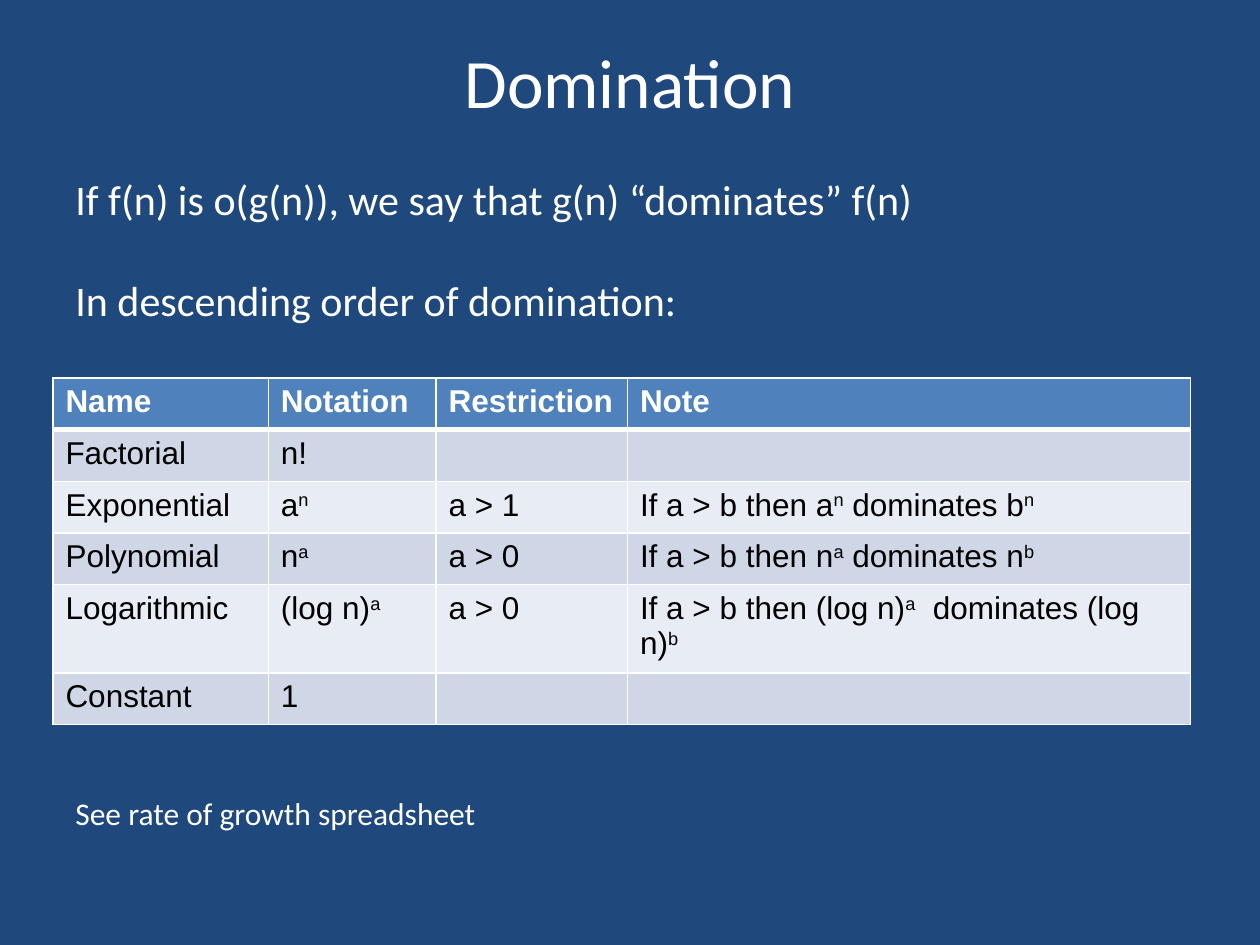
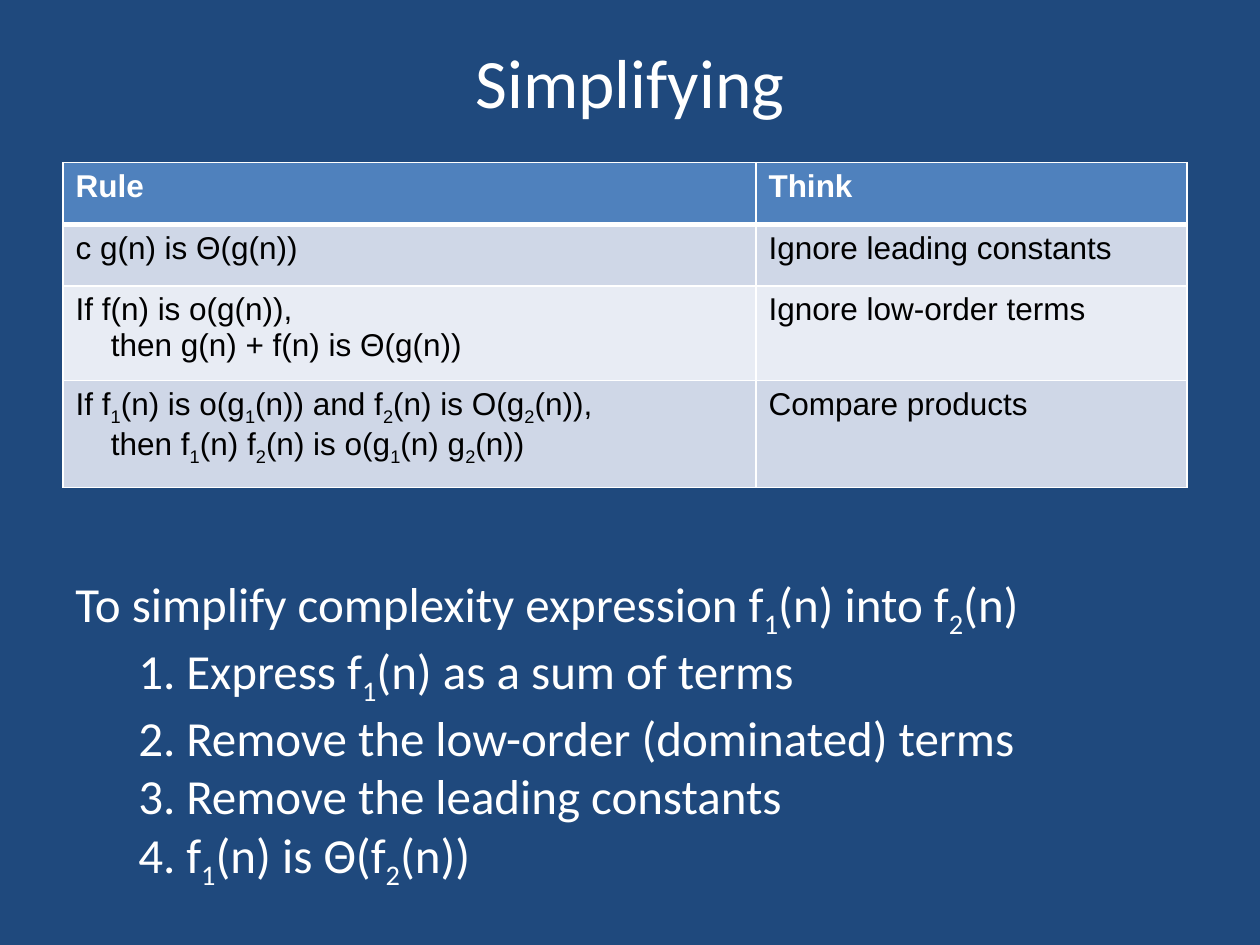
from lxml.etree import SubElement
from pptx import Presentation
from pptx.dml.color import RGBColor
from pptx.enum.text import MSO_ANCHOR, PP_ALIGN
from pptx.oxml import parse_xml
from pptx.oxml.ns import nsdecls, qn
from pptx.util import Inches, Pt

# Shared look
BACKGROUND, WHITE, BLACK = "1F497D", "FFFFFF", "000000"
HEADER_FILL = "4F81BD"
BAND_FILLS = ["CFD7E7", "E8ECF4"]
BODY_FONT, TABLE_FONT = "Calibri", "Arial"
THIN, THICK = 1, 3

# Grid of 20 columns by 15 rows
GRID_COLUMNS, GRID_ROWS = 20, 15
SLIDE_WIDTH, SLIDE_HEIGHT = Inches(10), Inches(7.5)

# A mark raises or lowers the one character after it
SCRIPT_MARKS = {"^": 30000, "_": -25000}

DOMINATION_ROWS = [
    ["Name", "Notation", "Restriction", "Note"],
    ["Factorial", "n!", "", ""],
    ["Exponential", "a^n", "a > 1", "If a > b then a^n dominates b^n"],
    ["Polynomial", "n^a", "a > 0", "If a > b then n^a dominates n^b"],
    ["Logarithmic", "(log n)^a", "a > 0", "If a > b then (log n)^a  dominates (log n)^b"],
    ["Constant", "1", "", ""],
]
SIMPLIFYING_ROWS = [
    ["Rule", "Think"],
    ["c g(n) is Θ(g(n))", "Ignore leading constants"],
    ["If f(n) is o(g(n)),\nthen g(n) + f(n) is Θ(g(n))", "Ignore low-order terms"],
    ["If f_1(n) is o(g_1(n)) and f_2(n) is O(g_2(n)),\n"
     "then f_1(n) f_2(n) is o(g_1(n) g_2(n))", "Compare products"],
]
SIMPLIFYING_STEPS = [
    "Express f_1(n) as a sum of terms",
    "Remove the low-order (dominated) terms",
    "Remove the leading constants",
    "f_1(n) is Θ(f_2(n))",
]


def color(value):
    return RGBColor.from_string(value)


def columns(count):
    return int(SLIDE_WIDTH * count / GRID_COLUMNS)


def rows(count):
    return int(SLIDE_HEIGHT * count / GRID_ROWS)


def split_scripts(text):
    """Return (text, baseline) pieces of a marked-up line."""
    pieces = [["", 0]]
    characters = iter(text)
    for character in characters:
        if character in SCRIPT_MARKS:
            pieces += [[next(characters), SCRIPT_MARKS[character]], ["", 0]]
        else:
            pieces[-1][0] += character
    return [piece for piece in pieces if piece[0]]


def write_paragraph(paragraph, text, size, font_name=BODY_FONT, font_color=WHITE, bold=False):
    font = paragraph.font
    font.size, font.name, font.bold = Pt(size), font_name, bold
    font.color.rgb = color(font_color)
    for piece, baseline in split_scripts(text):
        run = paragraph.add_run()
        run.text = piece
        if baseline:
            run._r.get_or_add_rPr().set("baseline", str(baseline))


def write_lines(text_frame, lines, size, **style):
    """Fill a text frame with one paragraph per line."""
    for index, line in enumerate(lines):
        paragraph = text_frame.add_paragraph() if index else text_frame.paragraphs[0]
        write_paragraph(paragraph, line, size, **style)
    return text_frame.paragraphs


def indent(paragraph, left, first_line=0):
    properties = paragraph._p.get_or_add_pPr()
    properties.set("marL", str(Inches(left)))
    properties.set("indent", str(Inches(first_line)))
    return properties


def number(paragraph):
    """Turn a paragraph into a numbered list item."""
    properties = indent(paragraph, 0.88, -0.38)
    numbering = parse_xml(f'<a:buAutoNum {nsdecls("a")} type="arabicPeriod"/>')
    properties.insert_element_before(numbering, "a:tabLst", "a:defRPr", "a:extLst")


def add_text(slide, left, top, width, height, lines, size):
    shape = slide.shapes.add_textbox(columns(left), rows(top), columns(width), rows(height))
    shape.text_frame.word_wrap = True
    write_lines(shape.text_frame, lines, size)
    return shape.text_frame


def add_titled_slide(presentation, title):
    slide = presentation.slides.add_slide(presentation.slide_layouts[6])
    text_frame = add_text(slide, 1, 0.5, 18, 1.56, [title], 39.6)
    text_frame.vertical_anchor = MSO_ANCHOR.MIDDLE
    text_frame.paragraphs[0].alignment = PP_ALIGN.CENTER
    return slide


def set_borders(cell, top, bottom):
    """Draw white cell borders; the lines come before the fill."""
    properties = cell._tc.get_or_add_tcPr()
    widths = {"lnL": THIN, "lnR": THIN, "lnT": top, "lnB": bottom}
    for position, (side, width) in enumerate(widths.items()):
        line = SubElement(properties, qn(f"a:{side}"), w=str(Pt(width)))
        fill = SubElement(line, qn("a:solidFill"))
        SubElement(fill, qn("a:srgbClr"), val=WHITE)
        properties.insert(position, line)


def add_banded_table(slide, left, top, column_widths, row_heights, contents):
    table = slide.shapes.add_table(
        len(row_heights), len(column_widths), columns(left), rows(top),
        columns(sum(column_widths)), rows(sum(row_heights))).table
    for column, width in zip(table.columns, column_widths):
        column.width = columns(width)
    for row_index, (height, texts) in enumerate(zip(row_heights, contents)):
        is_header = row_index == 0
        table.rows[row_index].height = rows(height)
        for column_index, text in enumerate(texts):
            cell = table.cell(row_index, column_index)
            cell.fill.solid()
            cell.fill.fore_color.rgb = color(
                HEADER_FILL if is_header else BAND_FILLS[(row_index - 1) % 2])
            set_borders(cell, THICK if row_index == 1 else THIN,
                        THICK if is_header else THIN)
            paragraphs = write_lines(
                cell.text_frame, text.split("\n"), 18, font_name=TABLE_FONT,
                font_color=WHITE if is_header else BLACK, bold=is_header)
            for continuation in paragraphs[1:]:
                indent(continuation, 0.28)


def build_domination(presentation):
    slide = add_titled_slide(presentation, "Domination")
    introduction = add_text(slide, 1, 2.66, 16.54, 2.62, [
        "If f(n) is o(g(n)), we say that g(n) “dominates” f(n)",
        "In descending order of domination:",
    ], 24)
    introduction.paragraphs[1].space_before = Pt(29)
    add_banded_table(slide, 0.84, 6, [3.42, 2.66, 3.04, 8.94],
                     [0.82] * len(DOMINATION_ROWS), DOMINATION_ROWS)
    add_text(slide, 1, 12.5, 6.84, 0.8, ["See rate of growth spreadsheet"], 18)


def build_simplifying(presentation):
    slide = add_titled_slide(presentation, "Simplifying")
    add_banded_table(slide, 1, 2.58, [11, 6.84], [0.98, 0.98, 1.5, 1.7], SIMPLIFYING_ROWS)
    heading = "To simplify complexity expression f_1(n) into f_2(n)"
    procedure = add_text(slide, 1, 9, 15.62, 4.92, [heading, *SIMPLIFYING_STEPS], 28)
    for step in procedure.paragraphs[1:]:
        number(step)


def main():
    presentation = Presentation()
    presentation.slide_width, presentation.slide_height = SLIDE_WIDTH, SLIDE_HEIGHT
    background = presentation.slide_master.background.fill
    background.solid()
    background.fore_color.rgb = color(BACKGROUND)
    build_domination(presentation)
    build_simplifying(presentation)
    presentation.save("out.pptx")


if __name__ == "__main__":
    main()
